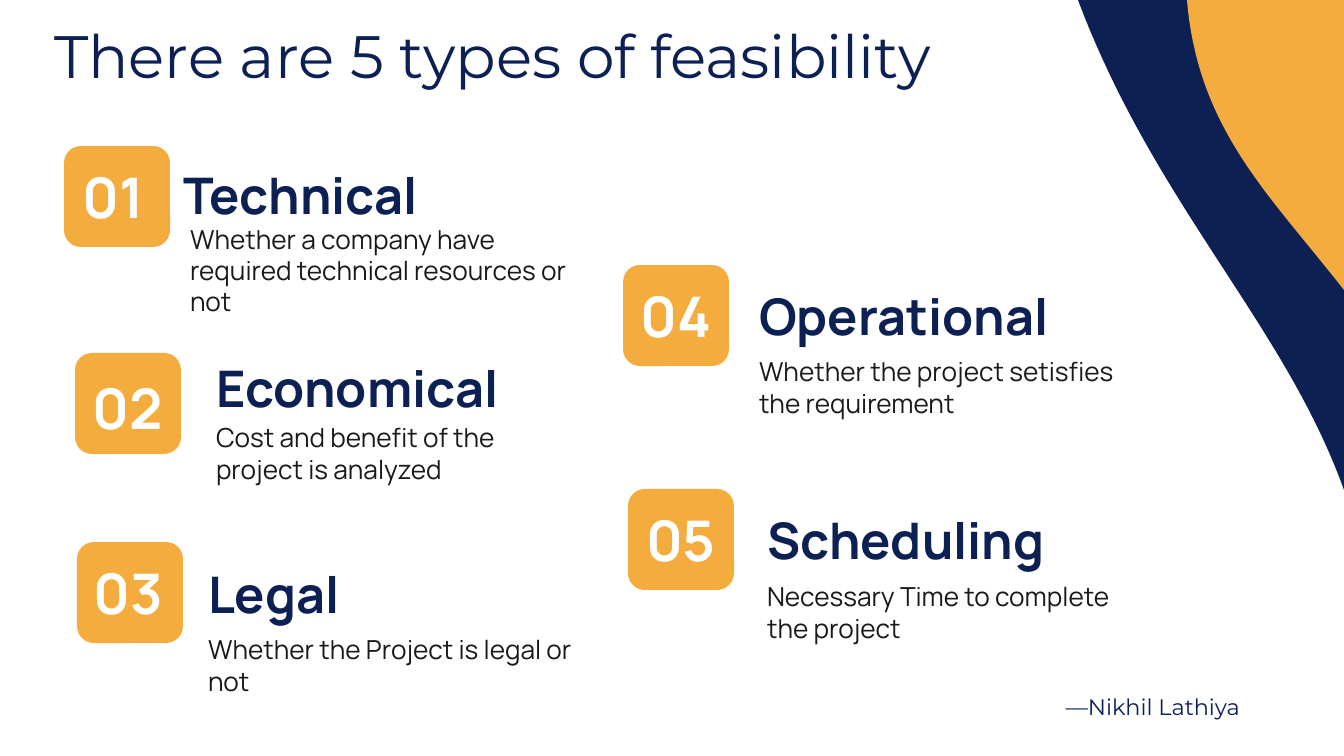
"""Build a slide that lists five types of feasibility."""
from pptx import Presentation
from pptx.dml.color import RGBColor
from pptx.enum.shapes import MSO_SHAPE
from pptx.enum.text import MSO_ANCHOR, PP_ALIGN
from pptx.util import Pt

PX = 914400 / 100.8
WIDE, HIGH = 1344, 756
INSET = 13
ROUND = MSO_SHAPE.ROUNDED_RECTANGLE
MIDDLE = MSO_ANCHOR.MIDDLE
LEFT, CENTER, RIGHT = PP_ALIGN.LEFT, PP_ALIGN.CENTER, PP_ALIGN.RIGHT
COLORS = {"navy": "0C2054", "orange": "F3AC3D", "white": "FFFFFF", "ink": "191919"}

WAVES = [
    ("navy", [(1078, 0), (1155, 205), (1285, 325), (1344, 490)]),
    ("orange", [(1187, 0), (1198, 130), (1270, 195), (1344, 290)]),
]
STEPS = 40

# number, badge, margins (top, right), title, title place, note, note box
TYPES = [
    ("01", (64, 146), (0, 8), "Technical", (170, 155),
     "Whether a company have required technical resources or not", (177, 221, 420, 98)),
    ("02", (75, 353), (7, 0), "Economical", (203, 348),
     "Cost and benefit of the project is analyzed", (203, 417, 395, 72)),
    ("03", (77, 542), (0, 4), "Legal", (195, 554),
     "Whether the Project is legal or not", (195, 629, 395, 72)),
    ("04", (623, 265), (0, 0), "Operational", (746, 276),
     "Whether the project setisfies the requirement", (746, 351, 395, 72)),
    ("05", (628, 489), (0, 0), "Scheduling", (754, 500),
     "Necessary Time to complete the project", (754, 576, 395, 72)),
]


def paint(shape, color):
    shape.shadow.inherit = False
    shape.fill.solid()
    shape.fill.fore_color.rgb = RGBColor.from_string(COLORS[color])
    shape.line.fill.background()


def write(shape, text, size, color, face="Manrope", bold=False, align=LEFT,
          insets=(INSET, INSET, INSET, INSET)):
    frame = shape.text_frame
    frame.word_wrap = True
    frame.vertical_anchor = MIDDLE
    (frame.margin_left, frame.margin_top,
     frame.margin_right, frame.margin_bottom) = [round(n * PX) for n in insets]
    para = frame.paragraphs[0]
    para.text = text
    para.alignment = align
    font = para.font
    font.name, font.size, font.bold = face, Pt(size), bold
    font.color.rgb = RGBColor.from_string(COLORS[color])


deck = Presentation()
deck.slide_width, deck.slide_height = round(WIDE * PX), round(HIGH * PX)
slide = deck.slides.add_slide(deck.slide_layouts[6])
shapes = slide.shapes
slide.background.fill.solid()
slide.background.fill.fore_color.rgb = RGBColor.from_string(COLORS["white"])

for color, knots in WAVES:
    curve = []
    for step in range(STEPS + 1):
        t = step / STEPS
        parts = [(1 - t) ** 3, 3 * t * (1 - t) ** 2, 3 * t * t * (1 - t), t ** 3]
        curve.append([round(PX * sum(k[axis] * w for k, w in zip(knots, parts)))
                      for axis in (0, 1)])
    path = shapes.build_freeform(*curve[0])
    path.add_line_segments(curve[1:] + [(round(WIDE * PX), 0)])
    paint(path.convert_to_shape(), color)

for number, spot, (top, right), title, place, note, area in TYPES:
    badge = shapes.add_shape(ROUND, *[round(n * PX) for n in (*spot, 106, 101)])
    paint(badge, "orange")
    write(badge, number, 40, "white", bold=True, align=CENTER, insets=(0, top, right, 0))
    head = shapes.add_textbox(*[round(n * PX) for n in (*place, 395, 78)])
    write(head, title, 36, "navy", bold=True)
    body = shapes.add_textbox(*[round(n * PX) for n in area])
    write(body, note, 18.7, "ink")

for text, area, size, align in [
    ("There are 5 types of feasibility", (41, 19, 1132, 72), 42.7, LEFT),
    ("—Nikhil Lathiya", (583, 679, 670, 56), 16, RIGHT),
]:
    box = shapes.add_textbox(*[round(n * PX) for n in area])
    write(box, text, size, "navy", face="Montserrat", align=align)

deck.save("out.pptx")
